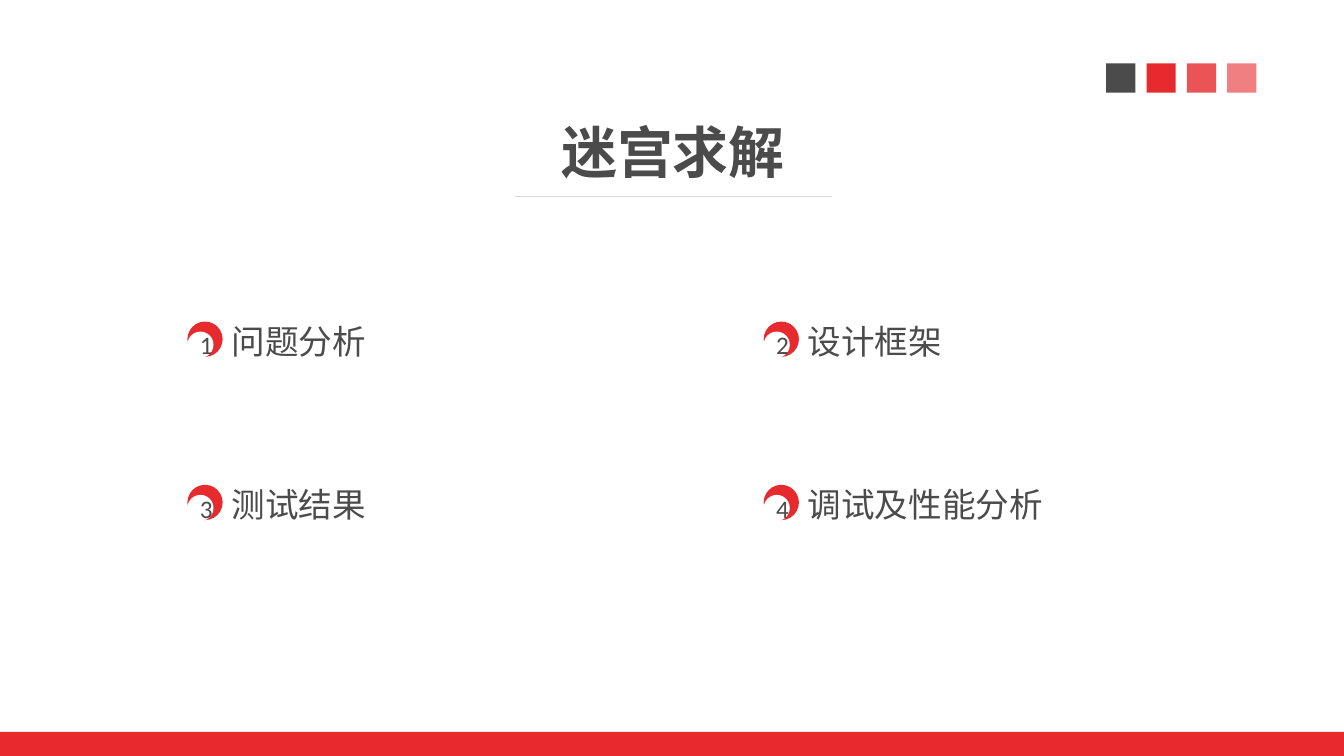
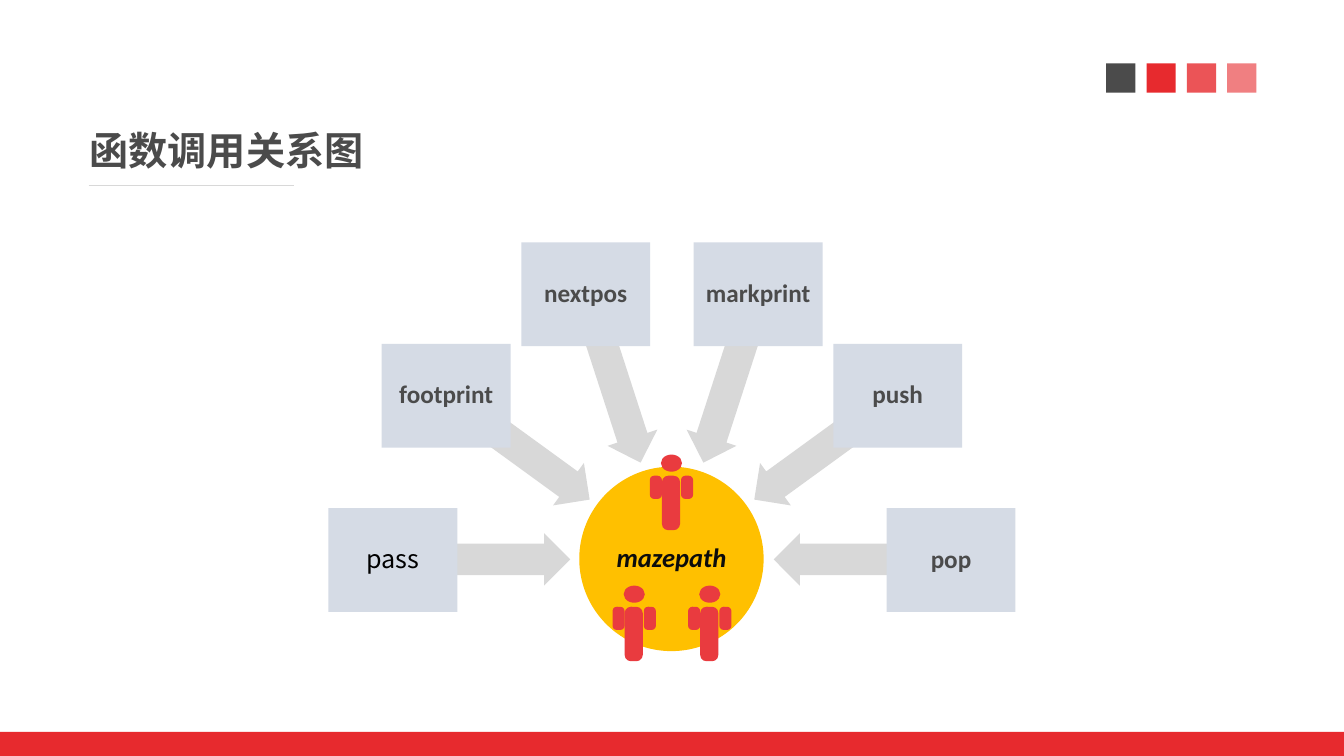
import math

from lxml import etree
from pptx import Presentation
from pptx.dml.color import RGBColor
from pptx.enum.shapes import MSO_CONNECTOR, MSO_SHAPE
from pptx.enum.text import MSO_ANCHOR, PP_ALIGN
from pptx.oxml.ns import qn
from pptx.util import Emu, Pt

PX = 9144
WIDTH, HEIGHT = 1334, 750
RED, DARK, GREY, WHITE = "E72A2E", "4B4B4B", "D8D8D8", "FFFFFF"
AMBER, BLUE_GREY, PERSON_RED = "FFC000", "D5DBE5", "E93B3F"
BLACK, NEAR_BLACK = "000000", "0C0C0C"
FONT, HEADING_FONT, CJK_FONT = "Calibri", "Roboto", "Noto Sans CJK SC"
RECT, ROUNDED = MSO_SHAPE.RECTANGLE, MSO_SHAPE.ROUNDED_RECTANGLE
OVAL, ARROW = MSO_SHAPE.OVAL, MSO_SHAPE.LEFT_ARROW
STRAIGHT = MSO_CONNECTOR.STRAIGHT
LEFT, CENTER = PP_ALIGN.LEFT, PP_ALIGN.CENTER
TOP, MIDDLE = MSO_ANCHOR.TOP, MSO_ANCHOR.MIDDLE

CONTENTS = ["问题分析", "设计框架", "测试结果", "调试及性能分析"]
CALLEES = ["pass", "footprint", "nextpos", "markprint", "push", "pop"]


def px(*lengths):
    """Turn px lengths into EMU."""
    return [Emu(round(length * PX)) for length in lengths]


def color(value):
    """Turn a hex string into a colour."""
    return RGBColor.from_string(value)


def add_block(shapes, kind, box, fill, alpha=100):
    """Add a filled preset shape without outline or shadow."""
    block = shapes.add_shape(kind, *px(*box))
    block.shadow.inherit = False
    block.fill.solid()
    block.fill.fore_color.rgb = color(fill)
    block.line.fill.background()
    if alpha < 100:
        tint = block.fill._xPr.find(".//" + qn("a:srgbClr"))
        etree.SubElement(tint, qn("a:alpha"), val=str(alpha * 1000))
    return block


def write(holder, text, size, ink=DARK, font=FONT, bold=False, italic=False,
          align=CENTER, anchor=MIDDLE, insets=(10, 5, 10, 5), wrap=True,
          spacing=None, after=None):
    """Write one paragraph of one run into a shape or text box."""
    frame = holder.text_frame
    frame.word_wrap = wrap
    frame.vertical_anchor = anchor
    (frame.margin_left, frame.margin_top,
     frame.margin_right, frame.margin_bottom) = px(*insets)
    paragraph = frame.paragraphs[0]
    paragraph.alignment = align
    if spacing:
        paragraph.line_spacing = spacing
    if after:
        paragraph.space_after = Pt(after)
    run = paragraph.add_run()
    run.text = text
    run.font.size = Pt(size)
    run.font.name = font
    run.font.bold = bold
    run.font.italic = italic
    run.font.color.rgb = color(ink)
    etree.SubElement(run.font._element, qn("a:ea"), typeface=CJK_FONT)


def add_label(slide, box, text, size, **style):
    """Add a top-anchored text box."""
    label = slide.shapes.add_textbox(*px(*box))
    write(label, text, size, anchor=TOP, insets=(10, 0, 10, 5), **style)


def add_frame(slide):
    """Add the colour squares and the bottom band."""
    squares = [(DARK, 100), (RED, 100), (RED, 80), (RED, 60)]
    for i, (fill, alpha) in enumerate(squares):
        add_block(slide.shapes, RECT, (1098 + 40 * i, 63, 29, 29), fill, alpha)
    add_block(slide.shapes, RECT, (0, 726, WIDTH, 24), RED)


def add_title(slide, box, text, size, rule, **style):
    """Add a bold title and its rule, given as left, right and y."""
    add_label(slide, box, text, size, bold=True, wrap=False, **style)
    left, right, y = rule
    underline = slide.shapes.add_connector(STRAIGHT, *px(left, y, right, y))
    underline.line.color.rgb = color(GREY)
    underline.line.width = Pt(1)
    etree.SubElement(underline._element.spPr, qn("a:effectLst"))


def add_entry(slide, x, y, number, text):
    """Add a crescent badge with its number and the entry text."""
    badge = slide.shapes.add_group_shape().shapes
    add_block(badge, OVAL, (x, y, 35, 35), RED)
    disc = add_block(badge, OVAL, (x, y + 10, 26, 26), WHITE)
    write(disc, str(number), 18)
    add_label(slide, (x + 34, y - 9, 356, 58), text, 24, align=LEFT, spacing=1.2)


def add_person(slide, x, y):
    """Add a person pictogram from its left arm and head top."""
    person = slide.shapes.add_group_shape().shapes
    add_block(person, OVAL, (x + 11, y, 21, 17), PERSON_RED)
    for dx, width, height in [(12, 18, 54), (0, 12, 23), (31, 12, 23)]:
        limb = add_block(person, ROUNDED, (x + dx, y + 21, width, height), PERSON_RED)
        limb.adjustments[0] = 0.35


def add_call_diagram(slide, hub_x, hub_y):
    """Add the hub, its callees on a half circle, and the people."""
    hub = add_block(slide.shapes, OVAL, (hub_x - 92, hub_y - 92, 183, 183), AMBER)
    write(hub, "mazepath", 19, NEAR_BLACK, bold=True, italic=True,
          insets=(0, 0, 0, 0), spacing=0.9, after=8.2)
    step = 180 / (len(CALLEES) - 1)
    for i, callee in enumerate(CALLEES):
        angle = 180 + step * i
        dx, dy = math.cos(math.radians(angle)), math.sin(math.radians(angle))
        arrow_box = (hub_x + 189 * dx - 88, hub_y + 189 * dy - 26, 176, 52)
        arrow = add_block(slide.shapes, ARROW, arrow_box, GREY)
        arrow.adjustments[0], arrow.adjustments[1] = 0.6, 0.5
        arrow.rotation = angle % 360
        node_box = (hub_x + 277 * dx - 64, hub_y + 277 * dy - 51, 128, 103)
        node = add_block(slide.shapes, RECT, node_box, BLUE_GREY)
        plain = callee == "pass"
        write(node, callee, 18, BLACK if plain else DARK,
              CJK_FONT if plain else FONT, bold=not plain,
              insets=(6, 6, 6, 6), spacing=0.9, after=7.9)
    for dx, dy in [(-22, -104), (16, 26), (-59, 26)]:
        add_person(slide, hub_x + dx, hub_y + dy)


def build_contents(slide):
    """Build the contents slide."""
    add_frame(slide)
    add_title(slide, (547, 117, 242, 77), "迷宫求解", 40, (511, 826, 195))
    for i, text in enumerate(CONTENTS):
        row, column = divmod(i, 2)
        add_entry(slide, 186 + 572 * column, 319 + 162 * row, i + 1, text)


def build_calls(slide):
    """Build the function call slide."""
    add_frame(slide)
    add_title(slide, (79, 125, 292, 57), "函数调用关系图", 28, (88, 292, 184),
              font=HEADING_FONT, align=LEFT)
    add_call_diagram(slide, 667, 555)


def main():
    """Build and save the presentation."""
    deck = Presentation()
    deck.slide_width, deck.slide_height = px(WIDTH, HEIGHT)
    for build in (build_contents, build_calls):
        build(deck.slides.add_slide(deck.slide_layouts[6]))
    deck.save("out.pptx")


if __name__ == "__main__":
    main()
